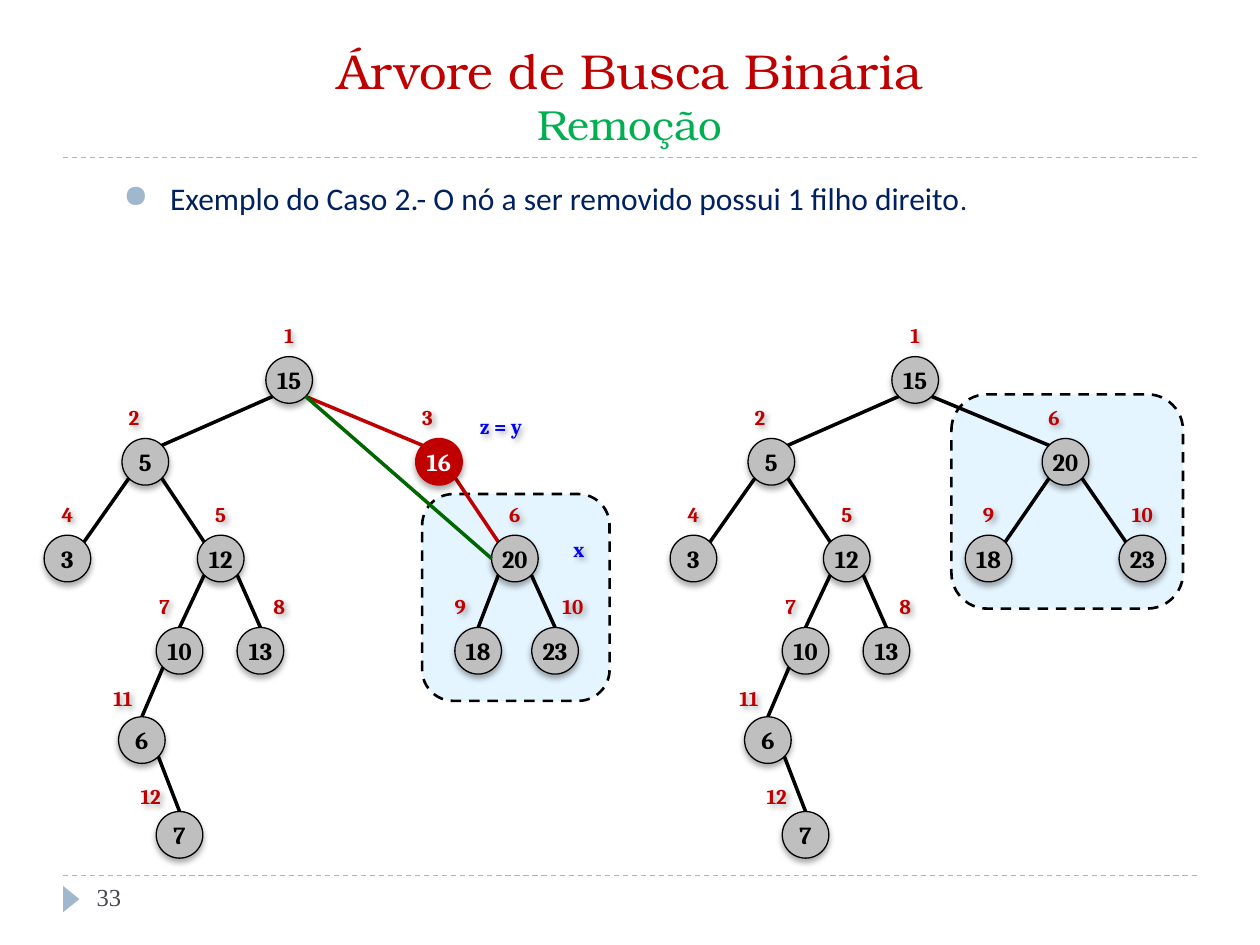
from collections import namedtuple
from math import sqrt

from lxml import etree
from pptx import Presentation
from pptx.dml.color import RGBColor
from pptx.enum import dml, shapes, text
from pptx.oxml.ns import qn
from pptx.util import Cm, Pt

BLACK = RGBColor(0x00, 0x00, 0x00)
WHITE = RGBColor(0xFF, 0xFF, 0xFF)
RED = RGBColor(0xC0, 0x00, 0x00)
GREEN = RGBColor(0x00, 0xB0, 0x50)
DARK_GREEN = RGBColor(0x00, 0x66, 0x00)
BLUE = RGBColor(0x00, 0x00, 0xFF)
NAVY = RGBColor(0x00, 0x20, 0x60)
SLATE = RGBColor(0x46, 0x46, 0x53)
STEEL = RGBColor(0x9F, 0xB8, 0xCD)
GRAY = RGBColor(0xBF, 0xBF, 0xBF)
SKY = RGBColor(0xCC, 0xEC, 0xFF)

NODE_FONT = {"name": "Cambria", "size": Pt(14), "bold": True}
LABEL_FONT = {"name": "Cambria", "size": Pt(12), "bold": True}

# Tree geometry in centimetres
RADIUS = 0.47
CORNER = RADIUS / sqrt(2)
ROW_Y = (7.66, 9.31, 11.26, 13.12, 14.92, 16.83)
LABEL_RISE = (0.9, 0.9, 0.9, 0.9, 0.85, 0.78)
SECOND_TREE_X = 12.62

Node = namedtuple("Node", "key x row label label_shift parent")
SHARED_NODES = [
    Node("15", 5.83, 0, "1", 0, None),
    Node("5", 2.93, 1, "2", -0.23, "15"),
    Node("3", 1.36, 2, "4", 0, "5"),
    Node("12", 4.45, 2, "5", 0, "5"),
    Node("10", 3.62, 3, "7", -0.3, "12"),
    Node("13", 5.25, 3, "8", 0.38, "12"),
    Node("6", 2.86, 4, "11", -0.38, "10"),
    Node("7", 3.62, 5, "12", -0.58, "6"),
]
BEFORE_NODES = SHARED_NODES + [
    Node("16", 8.85, 1, "3", -0.23, "15"),
    Node("20", 10.38, 2, "6", 0, "16"),
    Node("18", 9.64, 3, "9", -0.36, "20"),
    Node("23", 11.19, 3, "10", 0.36, "20"),
]
AFTER_NODES = SHARED_NODES + [
    Node("20", 8.86, 1, "6", -0.23, "15"),
    Node("18", 7.31, 2, "9", 0, "20"),
    Node("23", 10.41, 2, "10", 0, "20"),
]


def write(paragraph, words, color, font):
    run = paragraph.add_run()
    run.text = words
    for name, value in font.items():
        setattr(run.font, name, value)
    run.font.color.rgb = color


def add_shadow(shape, degrees):
    shape.shadow.inherit = False
    effects = shape._element.spPr.find(qn("a:effectLst"))
    shadow = etree.SubElement(effects, qn("a:outerShdw"), blurRad=str(Pt(3.5)),
                              dist=str(Pt(2.2)), dir=str(degrees * 60000), rotWithShape="0")
    color = etree.SubElement(shadow, qn("a:srgbClr"), val=str(BLACK))
    etree.SubElement(color, qn("a:alpha"), val="32000")


def add_line(container, start, end, color, width, dashed=False):
    line = container.add_connector(shapes.MSO_CONNECTOR.STRAIGHT, *map(Cm, start + end))
    line.line.color.rgb = color
    line.line.width = Pt(width)
    if dashed:
        line.line.dash_style = dml.MSO_LINE.DASH
    etree.SubElement(line._element.spPr, qn("a:effectLst"))


def add_label(container, x, y, words, color, width=1.04):
    label = container.add_textbox(Cm(x - width / 2), Cm(y - 0.38), Cm(width), Cm(0.76))
    frame = label.text_frame
    frame.word_wrap = False
    frame.vertical_anchor = text.MSO_ANCHOR.MIDDLE
    frame.paragraphs[0].alignment = text.PP_ALIGN.CENTER
    write(frame.paragraphs[0], words, color, LABEL_FONT)
    add_shadow(label, 45)


def add_node(container, x, y, words, removed):
    node = container.add_shape(shapes.MSO_SHAPE.OVAL, Cm(x - RADIUS), Cm(y - RADIUS),
                               Cm(2 * RADIUS), Cm(2 * RADIUS))
    node.fill.solid()
    node.fill.fore_color.rgb = RED if removed else GRAY
    node.line.color.rgb = RED if removed else BLACK
    node.line.width = Pt(0.75)
    add_shadow(node, 90)
    frame = node.text_frame
    for side in ("left", "top", "right", "bottom"):
        setattr(frame, "margin_" + side, 0)
    frame.word_wrap = False
    frame.vertical_anchor = text.MSO_ANCHOR.MIDDLE
    frame.paragraphs[0].alignment = text.PP_ALIGN.CENTER
    write(frame.paragraphs[0], words, WHITE if removed else BLACK, NODE_FONT)


def add_subtree_box(container, left, top, width, height):
    box = container.add_shape(shapes.MSO_SHAPE.ROUNDED_RECTANGLE,
                              *map(Cm, (left, top, width, height)))
    box.shadow.inherit = False
    box.fill.solid()
    box.fill.fore_color.rgb = SKY
    color = box._element.spPr.find(qn("a:solidFill"))[0]
    etree.SubElement(color, qn("a:alpha"), val="50000")
    box.line.color.rgb = BLACK
    box.line.width = Pt(1.5)
    box.line.dash_style = dml.MSO_LINE.DASH


def add_tree(slide, nodes, shift, box, removed=None):
    tree = slide.shapes.add_group_shape().shapes
    add_subtree_box(tree, *box)
    by_key = {node.key: node for node in nodes}
    # Edges: upper rows meet the child at its corner, lower rows at its top
    for node in nodes[1:]:
        parent = by_key[node.parent]
        side = 1 if node.x > parent.x else -1
        start = (shift + parent.x + side * CORNER, ROW_Y[parent.row] + CORNER)
        end = (shift + node.x, ROW_Y[node.row] - RADIUS)
        if node.row < 3:
            end = (end[0] - side * CORNER, ROW_Y[node.row] - CORNER)
        color = RED if removed and removed in (node.key, parent.key) else BLACK
        add_line(tree, start, end, color, 2)
    for node in nodes:
        x, y = shift + node.x, ROW_Y[node.row]
        add_node(tree, x, y, node.key, node.key == removed)
        add_label(tree, x + node.label_shift, y - LABEL_RISE[node.row], node.label, RED)
    return tree


def add_title(slide):
    title = slide.shapes.title
    for name, value in {"left": 1.27, "top": 0.64, "width": 22.86, "height": 2.54}.items():
        setattr(title, name, Cm(value))
    frame = title.text_frame
    frame.auto_size = text.MSO_AUTO_SIZE.NONE
    frame.vertical_anchor = text.MSO_ANCHOR.MIDDLE
    paragraph = frame.paragraphs[0]
    paragraph.alignment = text.PP_ALIGN.CENTER
    write(paragraph, "Árvore de Busca Binária", RED, {"name": "TeX Gyre Bonum", "size": Pt(28)})
    paragraph.add_line_break()
    write(paragraph, "Remoção", GREEN, {"name": "TeX Gyre Bonum", "size": Pt(24)})


def add_bullet(slide):
    box = slide.shapes.add_textbox(Cm(2.24), Cm(3.48), Cm(21.59), Cm(1.14))
    box.text_frame.word_wrap = True
    paragraph = box.text_frame.paragraphs[0]
    paragraph.alignment = text.PP_ALIGN.JUSTIFY
    properties = paragraph._p.get_or_add_pPr()
    properties.set("marL", str(Cm(0.94)))
    properties.set("indent", str(-Cm(0.94)))
    color = etree.SubElement(properties, qn("a:buClr"))
    etree.SubElement(color, qn("a:srgbClr"), val=str(STEEL))
    etree.SubElement(properties, qn("a:buChar"), char="●")
    write(paragraph, "Exemplo do Caso 2.- O nó a ser removido possui 1 filho direito",
          NAVY, {"name": "Calibri", "size": Pt(18)})
    write(paragraph, ".", NAVY, {"name": "Calibri", "size": Pt(16)})


def add_footer(slide):
    marker = slide.shapes.add_shape(shapes.MSO_SHAPE.ISOSCELES_TRIANGLE,
                                    Cm(1.17), Cm(17.96), Cm(0.53), Cm(0.33))
    marker.rotation = 90
    marker.shadow.inherit = False
    marker.fill.solid()
    marker.fill.fore_color.rgb = STEEL
    marker.line.fill.background()
    number = slide.shapes.add_textbox(Cm(1.7), Cm(17.65), Cm(5.51), Cm(1.02))
    number.text_frame.word_wrap = True
    write(number.text_frame.paragraphs[0], "33", SLATE,
          {"name": "Times New Roman", "size": Pt(14)})


def main():
    presentation = Presentation()
    presentation.slide_width, presentation.slide_height = Cm(25.4), Cm(19.05)
    slide = presentation.slides.add_slide(presentation.slide_layouts[5])

    # Frame and heading
    for y in (17.65, 3.18):
        add_line(slide.shapes, (1.27, y), (24.13, y), STEEL, 0.75, dashed=True)
    add_title(slide)
    add_bullet(slide)
    add_footer(slide)

    # Tree after and before the removal
    add_tree(slide, AFTER_NODES, SECOND_TREE_X, (19.18, 7.95, 4.67, 4.32))
    before = add_tree(slide, BEFORE_NODES, 0, (8.51, 9.96, 3.78, 4.17), removed="16")

    # New link and the names of the nodes involved
    add_line(before, (5.83 + CORNER, ROW_Y[0] + CORNER), (10.38 - RADIUS, ROW_Y[2]),
             DARK_GREEN, 2)
    add_label(before, 10.1, 8.59, "z = y", BLUE, 1.85)
    add_label(before, 11.67, 11.07, "x", BLUE, 1.85)
    presentation.save("out.pptx")


if __name__ == "__main__":
    main()
